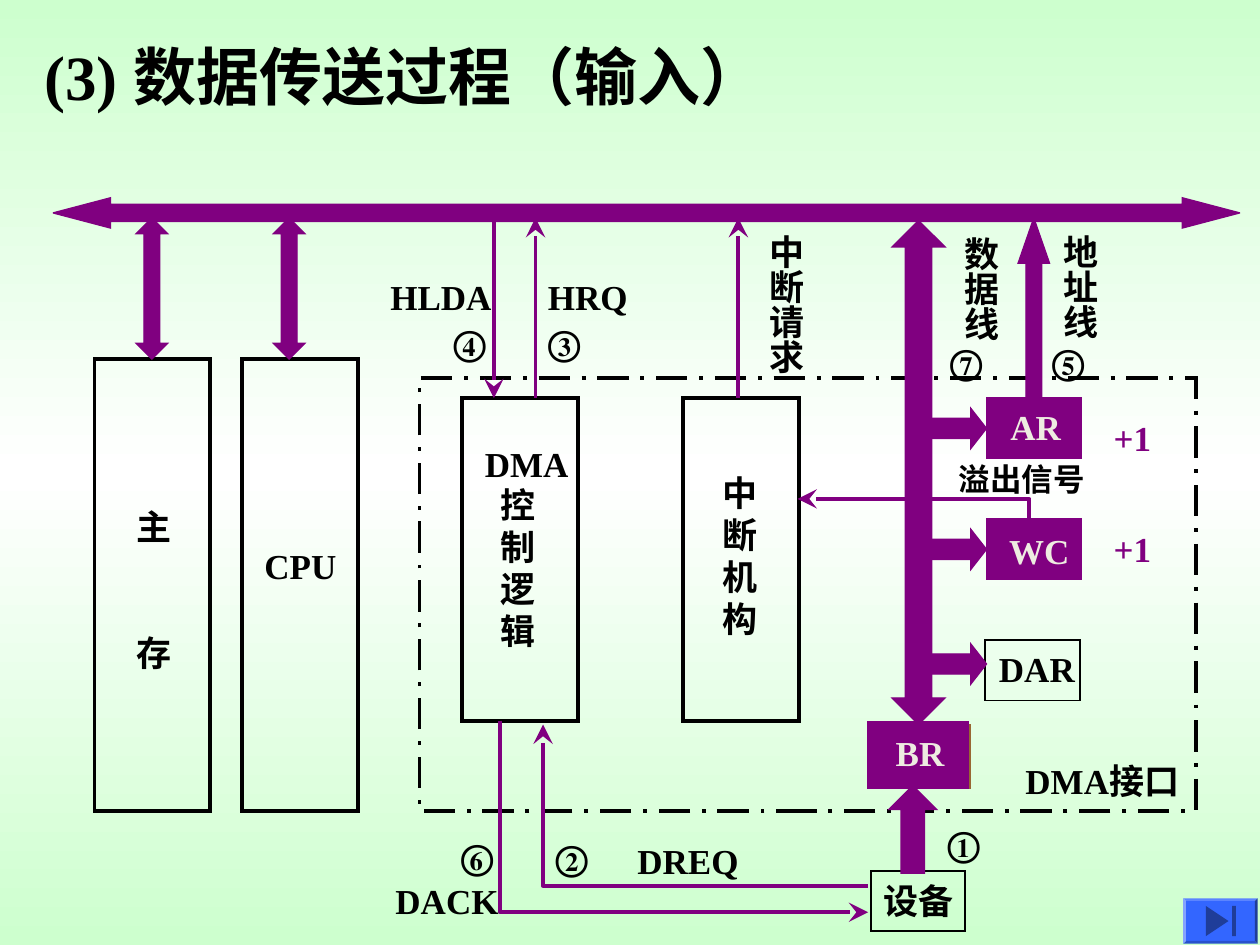
from copy import deepcopy
from dataclasses import dataclass

from pptx import Presentation, util as u
from pptx.dml.color import RGBColor
from pptx.enum import dml, shapes, text
from pptx.oxml.ns import qn
from pptx.oxml.xmlchemy import OxmlElement


@dataclass(frozen=True)
class Theme:
    font: str = "Times New Roman"
    ink: str = "000000"
    bus: str = "800080"
    light: str = "EEECE1"
    shade: str = "996633"
    edge: str = "CDFFCE"
    middle: str = "FFFFFF"
    button: str = "3366FF"
    icon: str = "1F3D99"
    title: int = 36
    body: int = 20
    small: int = 18


T = Theme()
G = shapes.MSO_SHAPE
rgb = RGBColor.from_string


def add_label(s, box, lines, size=T.body, color=T.ink, vert=None, gap=0,
              align=text.PP_ALIGN.LEFT):
    tf = s.shapes.add_textbox(*map(u.Inches, box)).text_frame
    frame = {"word_wrap": False, "auto_size": text.MSO_AUTO_SIZE.SHAPE_TO_FIT_TEXT}
    if vert:
        tf._txBody.bodyPr.set("vert", vert)
        frame.update(margin_left=u.Inches(0.05), margin_right=u.Inches(0.05),
                     margin_top=u.Inches(0.1), margin_bottom=u.Inches(0.1))
    elif align == text.PP_ALIGN.LEFT:
        frame["margin_right"] = u.Inches(0)
    for name, value in frame.items():
        setattr(tf, name, value)
    for i, line in enumerate(lines):
        p = tf.paragraphs[0] if i == 0 else tf.add_paragraph()
        p.alignment = align
        p.space_before = u.Pt(gap if i else 0)
        r = p.add_run()
        r.text = line
        for name, value in {"name": T.font, "size": u.Pt(size), "bold": True}.items():
            setattr(r.font, name, value)
        r.font.color.rgb = rgb(color)


def add_block(s, kind, box, fill=None, line=None, width=0.75, adj=()):
    sp = s.shapes.add_shape(kind, *map(u.Inches, box))
    sp.shadow.inherit = False
    for i, value in enumerate(adj):
        sp.adjustments[i] = value
    if fill:
        sp.fill.solid()
        sp.fill.fore_color.rgb = rgb(fill)
    else:
        sp.fill.background()
    if line:
        sp.line.color.rgb = rgb(line)
        sp.line.width = u.Pt(width)
        join = OxmlElement("a:miter")
        join.set("lim", "800000")
        sp.line._get_or_add_ln().append(join)
    else:
        sp.line.fill.background()
    return sp


prs = Presentation()
prs.slide_width, prs.slide_height = u.Inches(10), u.Inches(7.5)
s = prs.slides.add_slide(prs.slide_layouts[5])

bg = s.background.fill
bg.gradient()
bg.gradient_angle = 90
stops = s._element.find(".//" + qn("a:gsLst"))
stops.append(deepcopy(stops[-1]))
for stop, place, color in zip(bg.gradient_stops, (0, 0.5, 1), (T.edge, T.middle, T.edge)):
    stop.position = place
    stop.color.rgb = rgb(color)

title = s.shapes.title
for name, value in {"left": 0.25, "top": 0.25, "width": 6.83, "height": 0.7}.items():
    setattr(title, name, u.Inches(value))
tf = title.text_frame
for name, value in {"word_wrap": True, "auto_size": text.MSO_AUTO_SIZE.NONE,
                    "vertical_anchor": text.MSO_ANCHOR.MIDDLE}.items():
    setattr(tf, name, value)
p = tf.paragraphs[0]
p.alignment = text.PP_ALIGN.LEFT
r = p.add_run()
r.text = "(3) 数据传送过程（输入）"
for name, value in {"name": T.font, "size": u.Pt(T.title), "bold": True}.items():
    setattr(r.font, name, value)
r.font.color.rgb = rgb(T.ink)

for x, y, h in ((0.75, 2.85, 3.59), (1.92, 2.85, 3.59), (3.67, 3.16, 2.56), (5.42, 3.16, 2.56)):
    add_block(s, G.RECTANGLE, (x, y, 0.92, h), line=T.ink, width=2.25)
for x, y in ((6.91, 6.91), (7.82, 5.08)):
    add_block(s, G.RECTANGLE, (x, y, 0.75, 0.48), line=T.ink, width=1)
interface = add_block(s, G.RECTANGLE, (3.33, 3, 6.16, 3.44), line=T.ink, width=2.25)
interface.line.dash_style = dml.MSO_LINE.LONG_DASH_DOT

add_block(s, G.LEFT_RIGHT_ARROW, (0.42, 1.57, 9.42, 0.24), T.bus, T.bus, adj=(0.568, 1.9))
for y in (3.24, 4.2, 5.11):
    add_block(s, G.RIGHT_ARROW, (7.33, y, 0.5, 0.32), T.bus, T.bus, adj=(0.5, 0.39))
for x in (1.08, 2.17):
    add_block(s, G.UP_DOWN_ARROW, (x, 1.73, 0.25, 1.12), T.bus, T.bus, adj=(0.5, 0.89)[::-1][::-1])
add_block(s, G.UP_DOWN_ARROW, (7.08, 1.75, 0.42, 4), T.bus, T.bus, adj=(0.38, 0.7))
add_block(s, G.UP_ARROW, (8.08, 1.73, 0.25, 1.44), T.bus, T.bus, adj=(0.5, 1.44))
add_block(s, G.UP_ARROW, (7.08, 6.25, 0.33, 0.67), T.bus, T.bus, 2.25, (0.5, 0.5))

for sp in s.shapes:
    if sp.shape_type == shapes.MSO_SHAPE_TYPE.AUTO_SHAPE and sp.auto_shape_type == G.UP_DOWN_ARROW:
        sp.adjustments[0], sp.adjustments[1] = sp.adjustments[1], sp.adjustments[0]

signals = (
    ((4.25, 3.16), (4.25, 1.73)),
    ((3.92, 1.73), (3.92, 3.16)),
    ((5.86, 3.16), (5.86, 1.73)),
    ((6.89, 7.03), (4.31, 7.03), (4.31, 5.75)),
    ((3.97, 5.72), (3.97, 7.24), (6.89, 7.24)),
    ((8.17, 4.12), (8.17, 3.96), (6.33, 3.96)),
)
for route in signals:
    points = [(u.Inches(x), u.Inches(y)) for x, y in route]
    if len(points) == 2:
        sp = s.shapes.add_connector(shapes.MSO_CONNECTOR.STRAIGHT, *points[0], *points[1])
    else:
        path = s.shapes.build_freeform(*points[0])
        path.add_line_segments(points[1:], close=False)
        sp = path.convert_to_shape()
        sp.fill.background()
    sp.line.color.rgb = rgb(T.bus)
    sp.line.width = u.Pt(2.25)
    head = OxmlElement("a:tailEnd")
    for name, value in {"type": "stealth", "w": "lg", "len": "lg"}.items():
        head.set(name, value)
    sp.line._get_or_add_ln().append(head)
    sp._element.spPr.append(OxmlElement("a:effectLst"))

add_block(s, G.RECTANGLE, (6.91, 5.75, 0.79, 0.51), T.shade, T.shade)
add_block(s, G.RECTANGLE, (6.91, 5.75, 0.75, 0.48), T.bus, T.bus, 4.5)
for y in (3.16, 4.12):
    add_block(s, G.RECTANGLE, (7.83, y, 0.75, 0.48), T.bus, T.bus)

labels = (
    ("设备", 6.91, 6.93, 0.75, T.ink),
    ("DMA", 3.75, 3.46, 0.86, T.ink),
    ("DAR", 7.83, 5.09, 0.8, T.ink),
    ("DMA接口", 8.04, 5.98, 1.49, T.ink),
    ("CPU", 2, 4.27, 0.77, T.ink),
    ("DREQ", 4.96, 6.61, 1, T.ink),
    ("HRQ", 4.25, 2.14, 0.83, T.ink),
    ("HLDA", 3, 2.14, 1, T.ink),
    ("DACK", 3.04, 6.93, 1.02, T.ink),
    ("AR", 7.92, 3.17, 0.6, T.light),
    ("WC", 7.91, 4.15, 0.68, T.light),
    ("BR", 7.01, 5.76, 0.58, T.light),
    ("+1", 8.74, 3.26, 0.5, T.bus),
    ("+1", 8.74, 4.14, 0.5, T.bus),
)
for word, x, y, w, color in labels:
    add_label(s, (x, y, w, 0.44), [word], color=color)
add_label(s, (7.51, 3.6, 1.2, 0.4), ["溢出信号"], size=T.small)

steps = ((7.42, 6.48), (4.31, 6.59), (4.25, 2.5), (3.5, 2.5),
         (8.25, 2.65), (3.56, 6.58), (7.44, 2.65))
for mark, (x, y) in zip("①②③④⑤⑥⑦", steps):
    add_label(s, (x, y, 0.48, 0.44), [mark])

for word, x, y, h in (("地址线", 8.26, 1.76, 0.94), ("数据线", 7.47, 1.78, 0.94),
                      ("中断请求", 5.92, 1.76, 1.22)):
    add_label(s, (x, y, 0.53, h), [word], vert="eaVert")

for word, x, y, h, gap in (("主存", 0.98, 3.96, 1.44, 48), ("控制逻辑", 3.87, 3.79, 1.44, 0),
                           ("中断机构", 5.63, 3.69, 1.44, 0)):
    add_label(s, (x, y, 0.48, h), word, gap=gap, align=text.PP_ALIGN.CENTER)

add_block(s, G.BEVEL, (9.39, 7.13, 0.59, 0.36), T.button, adj=(0.06,))
path = s.shapes.build_freeform(u.Inches(9.75), u.Inches(7.31))
path.add_line_segments([(u.Inches(9.57), u.Inches(y)) for y in (7.43, 7.19)])
icon = path.convert_to_shape()
icon.shadow.inherit = False
icon.fill.solid()
icon.fill.fore_color.rgb = rgb(T.icon)
icon.line.fill.background()
add_block(s, G.RECTANGLE, (9.78, 7.19, 0.03, 0.24), T.icon)

prs.save("out.pptx")
